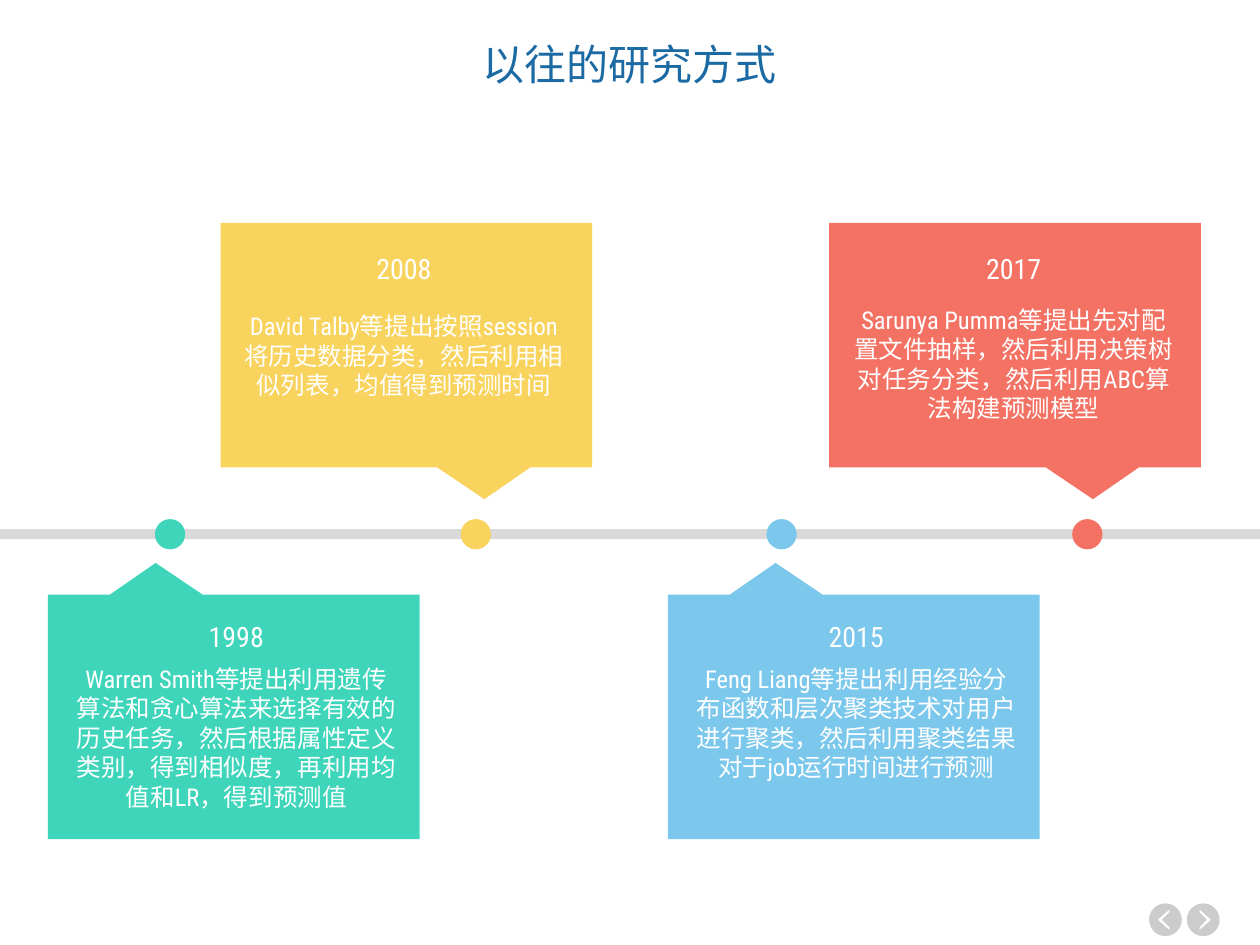
from pptx import Presentation
from pptx.dml.color import RGBColor
from pptx.enum.shapes import MSO_SHAPE
from pptx.enum.text import MSO_ANCHOR, PP_ALIGN
from pptx.util import Inches, Pt

RECT, OVAL = MSO_SHAPE.RECTANGLE, MSO_SHAPE.OVAL
CALLOUT = MSO_SHAPE.RECTANGULAR_CALLOUT
CENTER, MIDDLE, TOP = PP_ALIGN.CENTER, MSO_ANCHOR.MIDDLE, MSO_ANCHOR.TOP

# Content
FONT = "Roboto Condensed"
TITLE = "以往的研究方式"
WHITE, TITLE_BLUE, LINE_GREY, NAV_GREY = "FFFFFF", "1B6AA3", "D9D9D9", "CCCCCC"
# year, study, colour, above the line?, card left, text inset, study top in card
MILESTONES = [
    ("1998", "Warren Smith等提出利用遗传算法和贪心算法来选择有效的历史任务，"
             "然后根据属性定义类别，得到相似度，再利用均值和LR，得到预测值",
     "3FD5BA", False, 0.38, 0.12, 0.5),
    ("2008", "David Talby等提出按照session将历史数据分类，"
             "然后利用相似列表，均值得到预测时间",
     "F8D35E", True, 1.75, 0.08, 0.65),
    ("2015", "Feng Liang等提出利用经验分布函数和层次聚类技术对用户进行聚类，"
             "然后利用聚类结果对于job运行时间进行预测",
     "7CC8EC", False, 5.3, 0.12, 0.5),
    ("2017", "Sarunya Pumma等提出先对配置文件抽样，然后利用决策树对任务分类，"
             "然后利用ABC算法构建预测模型",
     "F47264", True, 6.58, 0.09, 0.6),
]

# Layout, in inches
SLIDE_W, SLIDE_H = 10, 7.5
LINE_TOP, LINE_H = 4.2, 0.08
DOT, FIRST_DOT, LAST_DOT = 0.24, 1.23, 8.51
CARD_W, CARD_H, TEXT_W = 2.95, 1.94, 2.75
CARD_TOP = {True: 1.77, False: 4.72}
YEAR_OFFSET = {True: 0.18, False: 0.15}
TIP_X, TIP_Y = 0.21, 0.63
NAV_TOP, NAV_SIZE = 7.17, 0.26
NAV_BUTTONS = [(9.12, -1), (9.42, 1)]  # left edge, direction


def color(value):
    return RGBColor.from_string(value)


def paint(shape, fill):
    shape.shadow.inherit = False
    shape.fill.solid()
    shape.fill.fore_color.rgb = color(fill)
    shape.line.fill.background()
    return shape


def add_block(kind, left, top, width, height, fill):
    box = map(Inches, (left, top, width, height))
    return paint(slide.shapes.add_shape(kind, *box), fill)


def write(frame, text, size, text_color, anchor=TOP):
    frame.word_wrap = True
    frame.vertical_anchor = anchor
    paragraph = frame.paragraphs[0]
    paragraph.alignment = CENTER
    run = paragraph.add_run()
    run.text = text
    run.font.name = FONT
    run.font.size = Pt(size)
    run.font.color.rgb = color(text_color)
    return paragraph


def add_text(text, left, top, height, size):
    box = slide.shapes.add_textbox(*map(Inches, (left, top, TEXT_W, height)))
    return write(box.text_frame, text, size, WHITE)


def add_nav_button(left, direction):
    add_block(OVAL, left, NAV_TOP, NAV_SIZE, NAV_SIZE, NAV_GREY)
    x, y = left + NAV_SIZE / 2, NAV_TOP + NAV_SIZE / 2
    outline = [(-0.03, -0.08), (-0.03, -0.06), (0.03, 0),
               (-0.03, 0.06), (-0.03, 0.08), (0.06, 0)]
    points = [(Inches(x + direction * dx), Inches(y + dy)) for dx, dy in outline]
    chevron = slide.shapes.build_freeform(*points[0])
    chevron.add_line_segments(points[1:], close=True)
    paint(chevron.convert_to_shape(), WHITE)


prs = Presentation()
prs.slide_width, prs.slide_height = Inches(SLIDE_W), Inches(SLIDE_H)
slide = prs.slides.add_slide(prs.slide_layouts[5])

# Title
title = slide.shapes.title
title.left, title.top = Inches(2.25), Inches(0.33)
title.width, title.height = Inches(5.5), Inches(0.4)
write(title.text_frame, TITLE, 24, TITLE_BLUE, MIDDLE).line_spacing = 0.9

# Navigation buttons
for nav_left, nav_direction in NAV_BUTTONS:
    add_nav_button(nav_left, nav_direction)

# Timeline
add_block(RECT, 0, LINE_TOP, SLIDE_W, LINE_H, LINE_GREY)
dot_step = (LAST_DOT - FIRST_DOT) / (len(MILESTONES) - 1)
dot_top = LINE_TOP + (LINE_H - DOT) / 2

# Milestones: a dot on the line and a callout card above or below it
for i, (year, study, fill, above, left, inset, study_top) in enumerate(MILESTONES):
    add_block(OVAL, FIRST_DOT + i * dot_step, dot_top, DOT, DOT, fill)
    top = CARD_TOP[above]
    card = add_block(CALLOUT, left, top, CARD_W, CARD_H, fill)
    side = 1 if above else -1
    card.adjustments[0], card.adjustments[1] = side * TIP_X, side * TIP_Y
    add_text(year, left + inset, top + YEAR_OFFSET[above], 0.37, 16)
    paragraph = add_text(study, left + inset, top + study_top, 1.28, 14)
    paragraph.space_before = Pt(2.1)

prs.save("out.pptx")
